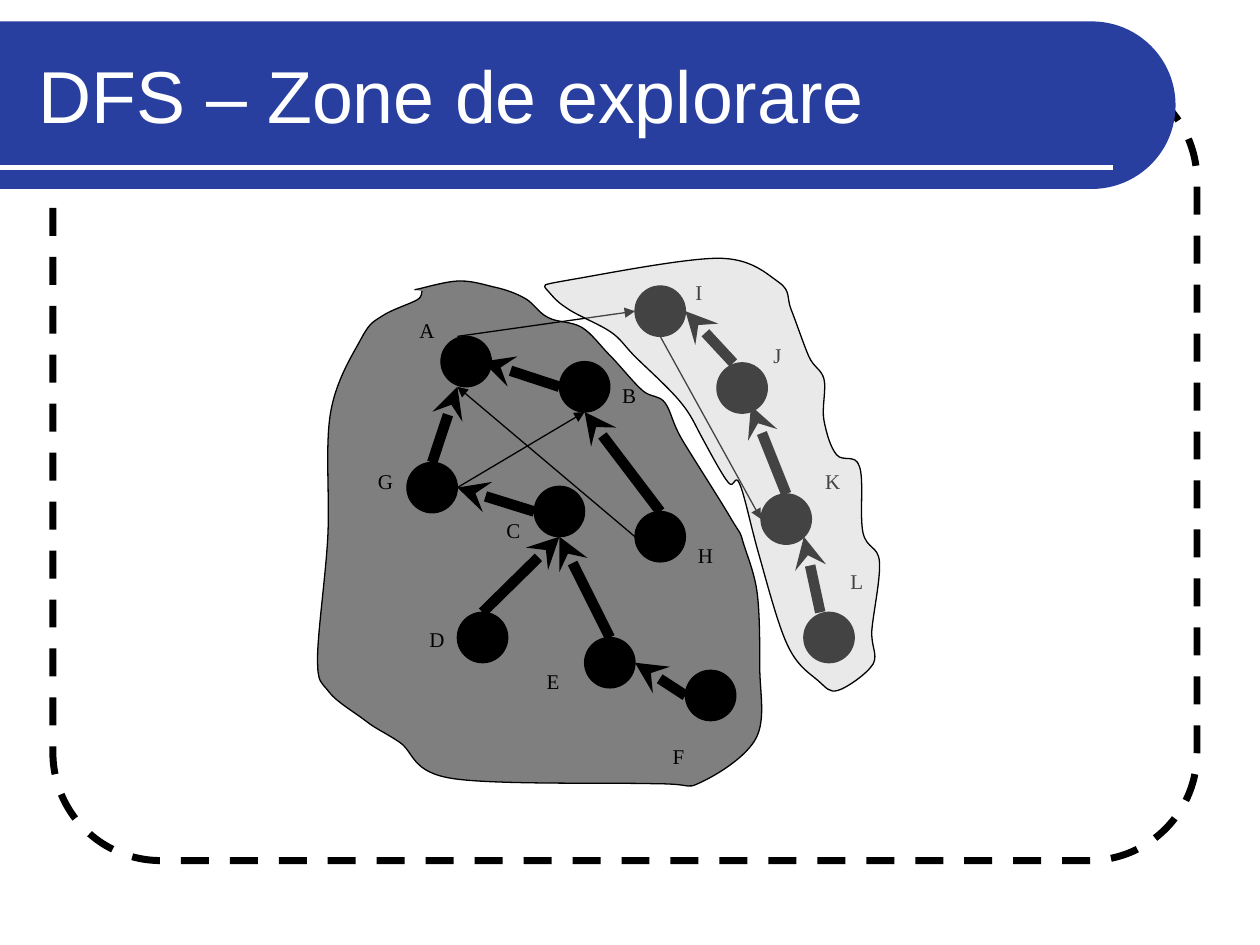
from lxml import etree
from pptx import Presentation
from pptx import util as u
from pptx.dml.color import RGBColor
from pptx.enum import dml, shapes, text
from pptx.oxml.ns import qn

BLACK = RGBColor(0x00, 0x00, 0x00)
WHITE = RGBColor(0xFF, 0xFF, 0xFF)
BLUE = RGBColor(0x28, 0x3F, 0xA0)
SILVER = RGBColor(0xC0, 0xC0, 0xC0)

UNITS = 100  # outline units to the inch
NODE_SIZE = 0.4
# Name: left and top of the node, left and top of its label
NODES = {"A": (3.5, 2.67, 3.23, 2.47), "G": (3.23, 3.67, 2.9, 3.67),
         "B": (4.44, 2.87, 4.84, 2.99), "I": (5.04, 2.27, 5.42, 2.17),
         "C": (4.24, 3.86, 3.92, 4.06), "H": (5.04, 4.06, 5.44, 4.26),
         "J": (5.69, 2.88, 6.04, 2.67), "E": (4.64, 5.06, 4.24, 5.26),
         "K": (6.04, 3.92, 6.45, 3.67), "F": (5.44, 5.32, 5.24, 5.85),
         "L": (6.38, 4.86, 6.65, 4.46), "D": (3.63, 4.86, 3.31, 4.92)}
TALL_LABELS = "AGEJL"
SHIFTED_NODES = "AJL"  # their edges meet a little left of the middle
EDGE_SHIFT = -0.07
SIDES = {"top": (0.5, 0), "left": (0, 0.5), "bottom": (0.5, 1), "right": (1, 0.5),
         "corner": (0.85, 0.85)}
# From node and side, to node and side
TREE_EDGES = ["B left A right", "G top A bottom", "C left G right", "H top B bottom",
              "E top C bottom", "D top C bottom", "F left E right", "J top I right",
              "K top J corner", "L top K corner"]
OTHER_EDGES = ["A top I left", "G right B bottom", "H left A bottom", "I bottom K left"]

DARK_ZONE = [(3.29, 2.3), (3.65, 2.23), (3.93, 2.28), (4.17, 2.37), (4.35, 2.52), (4.62, 2.6),
             (4.84, 2.82), (5.1, 3.1), (5.28, 3.2), (5.42, 3.5), (5.81, 4.13), (5.9, 4.31),
             (6.01, 4.71), (6.03, 5.3), (6, 5.86), (5.56, 6.21), (5.2, 6.22), (3.6, 6.18),
             (3.17, 5.89), (2.9, 5.72), (2.61, 5.49), (2.52, 5.23), (2.6, 4.29), (2.62, 3.3),
             (2.86, 2.7), (3.03, 2.51), (3.31, 2.38), (3.35, 2.31)]
LIGHT_ZONE = [(4.33, 2.26), (4.59, 2.21), (5.7, 2.05), (6.18, 2.24), (6.28, 2.46), (6.42, 2.83),
              (6.54, 3.01), (6.54, 3.34), (6.64, 3.61), (6.82, 3.7), (6.85, 4.23), (6.98, 4.46),
              (6.92, 5), (6.93, 5.27), (6.65, 5.48), (6.49, 5.4), (6.25, 5.12), (6.02, 4.39),
              (5.87, 3.84), (5.78, 3.83), (5.57, 3.47), (5.4, 3.19), (5.04, 2.83),
              (4.84, 2.63), (4.49, 2.44), (4.34, 2.3), (4.33, 2.26)]


def inches(value):
    return u.Cm(value * 2.54)


def style(shape, fill=None, line=None, width=0.75, alpha=None):
    shape.shadow.inherit = False
    if fill is None:
        shape.fill.background()
    else:
        shape.fill.solid()
        shape.fill.fore_color.rgb = fill
    if alpha is not None:
        color = shape._element.spPr.find(qn("a:solidFill")).find(qn("a:srgbClr"))
        etree.SubElement(color, qn("a:alpha"), val=str(alpha * 1000))
    if line is None:
        shape.line.fill.background()
    else:
        shape.line.color.rgb = line
        shape.line.width = u.Pt(width)


def add_line(slide, start, end, color, width, arrow=None):
    line = slide.shapes.add_connector(
        shapes.MSO_CONNECTOR.STRAIGHT, *map(inches, (*start, *end)))
    line.line.color.rgb = color
    line.line.width = u.Pt(width)
    properties = line._element.spPr
    if arrow:
        etree.SubElement(properties.find(qn("a:ln")), qn("a:tailEnd"), type=arrow)
    etree.SubElement(properties, qn("a:effectLst"))


def add_text(slide, box, words, anchor, color, **font_format):
    frame = slide.shapes.add_textbox(*map(inches, box)).text_frame
    frame.word_wrap = True
    frame.vertical_anchor = anchor
    paragraph = frame.paragraphs[0]
    paragraph.text = words
    paragraph.font.color.rgb = color
    for name, value in font_format.items():
        setattr(paragraph.font, name, value)


def smooth_curves(points):
    """Control points of a Catmull-Rom curve through the points, a pair for each segment."""
    padded = [points[0], *points, points[-1]]
    for before, start, end, after in zip(padded, padded[1:], padded[2:], padded[3:]):
        yield ([s + (e - b) / 6 for b, s, e in zip(before, start, end)],
               [e - (a - s) / 6 for s, e, a in zip(start, end, after)])


def add_zone(slide, box, points, close):
    min_x, min_y = map(min, zip(*points))
    units = [(round(x * UNITS), round(y * UNITS)) for x, y in points]
    builder = slide.shapes.build_freeform(*units[0], scale=inches(1) / UNITS)
    builder.add_line_segments(units[1:], close=close)
    zone = builder.convert_to_shape(inches(box[0]), inches(box[1]))
    for segment, controls in zip(list(zone._element.iter(qn("a:lnTo"))), smooth_curves(points)):
        segment.tag = qn("a:cubicBezTo")
        for index, (x, y) in enumerate(controls):
            segment.insert(index, etree.Element(
                qn("a:pt"), x=str(round((x - min_x) * UNITS)),
                y=str(round((y - min_y) * UNITS))))
    return zone


def draw_frame(slide, box):
    frame = slide.shapes.add_shape(shapes.MSO_SHAPE.ROUNDED_RECTANGLE, *map(inches, box))
    frame.adjustments[0] = 0.137
    style(frame, line=BLACK, width=4)
    frame.line.dash_style = dml.MSO_LINE.DASH


def draw_title_band(slide, box):
    left, top, width, height = box
    # Turned a quarter, the two rounded top corners face right.
    band = slide.shapes.add_shape(
        shapes.MSO_SHAPE.ROUND_2_SAME_RECTANGLE, inches(left + (width - height) / 2),
        inches(top + (height - width) / 2), inches(height), inches(width))
    band.rotation = 90
    band.adjustments[0] = 0.5
    style(band, fill=BLUE)
    add_line(slide, (left, top + 1.16), (left + 8.83, top + 1.16), WHITE, 3)
    add_text(slide, (left + 0.21, top + 0.08, 8.77, 1), "DFS – Zone de explorare",
             text.MSO_ANCHOR.MIDDLE, WHITE, size=u.Pt(42), name="Arial")


def edge_point(box, name, side):
    x, y = NODES[name][:2]
    across, down = SIDES[side]
    shift = EDGE_SHIFT if name in SHIFTED_NODES else 0
    return box[0] + x + across * NODE_SIZE + shift, box[1] + y + down * NODE_SIZE


def draw_graph(slide, box):
    """Nodes, edges and labels lie under the two translucent zones."""
    left, top = box[:2]
    for x, y, _, _ in NODES.values():
        node = slide.shapes.add_shape(
            shapes.MSO_SHAPE.OVAL, *map(inches, (left + x, top + y, NODE_SIZE, NODE_SIZE)))
        style(node, fill=BLACK, line=BLACK)
    for edges, width, arrow in [(TREE_EDGES, 6, "stealth"), (OTHER_EDGES, 0.75, "triangle")]:
        for edge in edges:
            child, child_side, parent, parent_side = edge.split()
            add_line(slide, edge_point(box, child, child_side),
                     edge_point(box, parent, parent_side), BLACK, width, arrow)
    for name, (_, _, x, y) in NODES.items():
        label_box = (left + x, top + y, 0.4 if name == "I" else 0.6,
                     0.6 if name in TALL_LABELS else 0.4)
        add_text(slide, label_box, name, text.MSO_ANCHOR.TOP, BLACK,
                 size=u.Pt(12), name="Times New Roman")
    style(add_zone(slide, box, DARK_ZONE, close=False), fill=BLACK, line=BLACK, alpha=50)
    style(add_zone(slide, box, LIGHT_ZONE, close=True), fill=SILVER, line=BLACK, alpha=35)


def main():
    presentation = Presentation()
    presentation.slide_width, presentation.slide_height = inches(10), inches(7.5)
    slide = presentation.slides.add_slide(presentation.slide_layouts[6])
    draw_frame(slide, (0.42, 0.58, 9.08, 6.25))
    draw_title_band(slide, (0, 0.17, 9.33, 1.33))
    draw_graph(slide, (0, 0, 10, 7.5))
    presentation.save("out.pptx")


if __name__ == "__main__":
    main()
